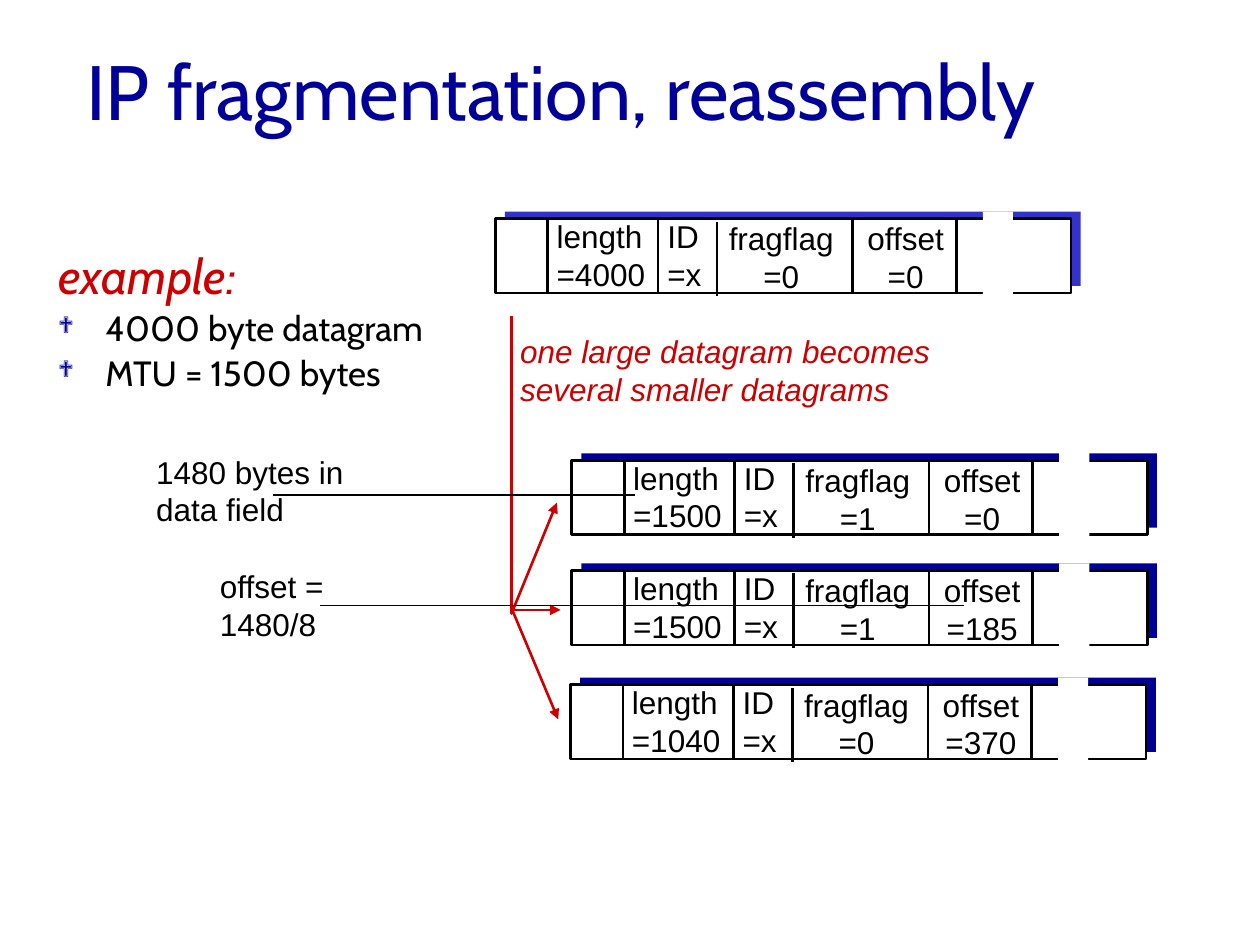
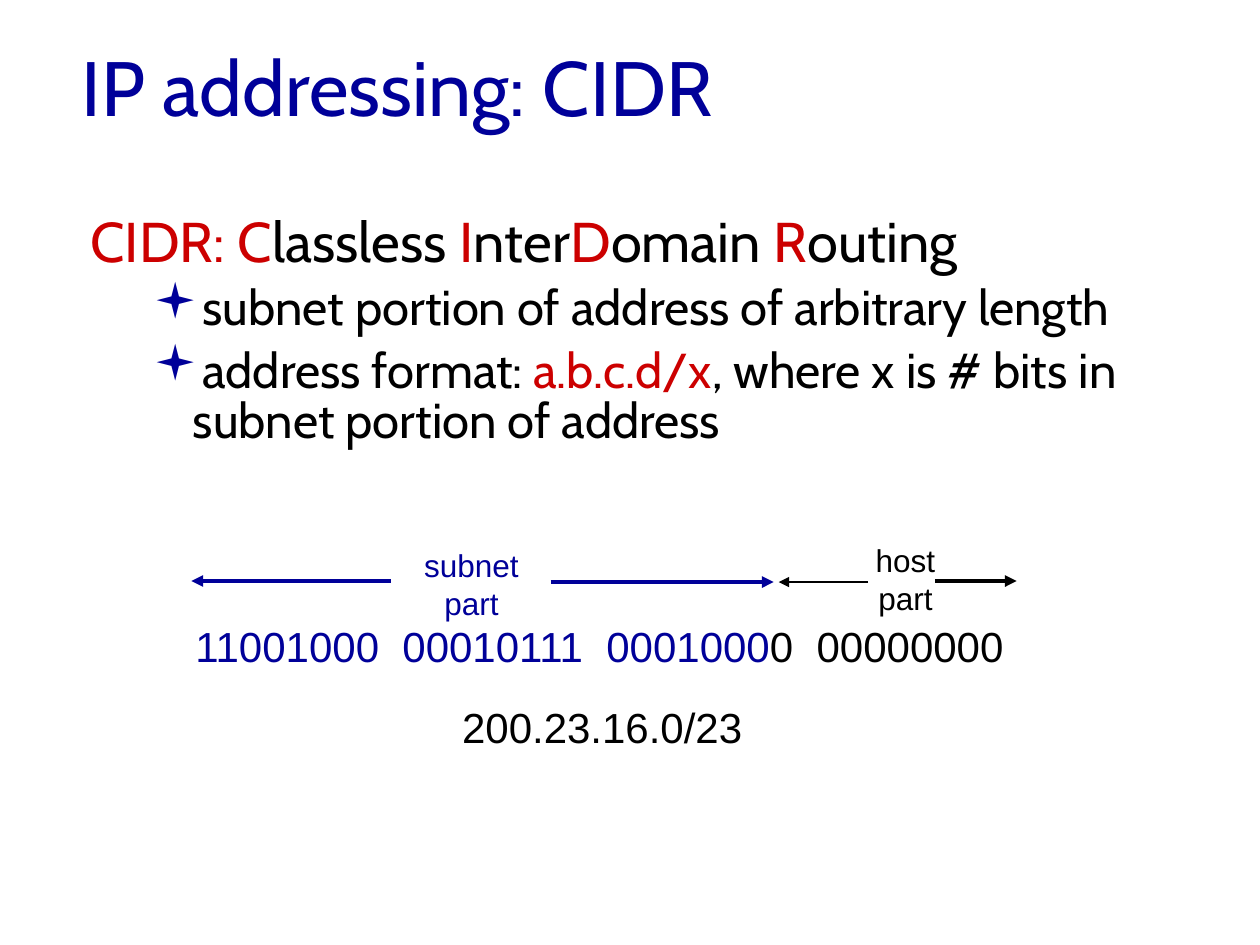
"""Builds two slides on IP fragmentation and CIDR addressing."""
from itertools import cycle

from lxml import etree
from pptx import Presentation
from pptx.dml.color import RGBColor
from pptx.enum.shapes import MSO_CONNECTOR, MSO_SHAPE
from pptx.enum.text import MSO_ANCHOR, MSO_AUTO_SIZE, PP_ALIGN
from pptx.oxml.ns import qn
from pptx.util import Pt

RECTANGLE, STRAIGHT = MSO_SHAPE.RECTANGLE, MSO_CONNECTOR.STRAIGHT
LEFT, CENTER, MIDDLE = PP_ALIGN.LEFT, PP_ALIGN.CENTER, MSO_ANCHOR.MIDDLE
FIXED, GROW = MSO_AUTO_SIZE.NONE, MSO_AUTO_SIZE.SHAPE_TO_FIT_TEXT
NAVY, INDIGO, RED, BLACK, WHITE = "000099", "3333CC", "CC0000", "000000", "FFFFFF"
rgb = RGBColor.from_string

TITLE_FONT = {"name": "Cabin", "size": Pt(44)}
LABEL_FONT = {"name": "Arial", "size": Pt(18)}
ADDRESS_FONT = {"name": "Arial", "size": Pt(24)}


def write(frame, lines, font, colours, layout, indent=(0, 0), bullet="", bullet_size=100):
    """Add paragraphs whose parts, split at a bar, take the colours in turn."""
    for line in lines:
        first = frame.paragraphs[0]
        paragraph = frame.add_paragraph() if first.runs else first
        for name, value in layout.items():
            setattr(paragraph, name, value)
        properties = paragraph._p.get_or_add_pPr()
        properties.set("marL", str(Pt(indent[0])))
        properties.set("indent", str(Pt(indent[1])))
        if bullet:
            tint = etree.SubElement(properties, qn("a:buClr"))
            etree.SubElement(tint, qn("a:srgbClr"), val=NAVY)
            etree.SubElement(properties, qn("a:buSzPct"), val=str(bullet_size * 1000))
            etree.SubElement(properties, qn("a:buFont"), typeface="Wingdings")
            etree.SubElement(properties, qn("a:buChar"), char=bullet)
        else:
            etree.SubElement(properties, qn("a:buNone"))
        for part, colour in zip(line.split("|"), cycle(colours)):
            run = paragraph.add_run()
            run.text = part
            for name, value in font.items():
                setattr(run.font, name, value)
            run.font.color.rgb = rgb(colour)


def stroke(stretch, colour, width, arrow=False):
    """Give a line its colour and width, without shadow, and maybe an arrowhead."""
    stretch.line.color.rgb = rgb(colour)
    stretch.line.width = Pt(width)
    if arrow:
        etree.SubElement(stretch.line._get_or_add_ln(), qn("a:tailEnd"), type="triangle")
    etree.SubElement(stretch._element.spPr, qn("a:effectLst"))


deck = Presentation()
deck.slide_width, deck.slide_height = Pt(720), Pt(540)

titles = [
    ("IP fragmentation, reassembly", (42, 14.6, 612, 73.4)),
    ("IP addressing: CIDR", (39.6, 15.3, 612, 67)),
]
for heading, place in titles:
    slide = deck.slides.add_slide(deck.slide_layouts[5])
    title = slide.shapes.title
    title.left, title.top, title.width, title.height = map(Pt, place)
    title.text_frame.vertical_anchor = MIDDLE
    title.text_frame.auto_size = FIXED
    write(title.text_frame, [heading], TITLE_FONT, [NAVY], {"alignment": LEFT})
fragmentation, addressing = deck.slides

datagrams = [
    (283, 124.9, INDIGO, "4000", "0", "0"),
    (326.7, 263, NAVY, "1500", "1", "0"),
    (326.7, 326, NAVY, "1500", "1", "185"),
    (326, 391.2, NAVY, "1040", "0", "370"),
]
for left, top, shade, length, fragflag, offset in datagrams:
    blocks = [
        (5.5, -4, 329, 42.5, shade),
        (0, 0, 329, 42.5, WHITE),
        (278.6, -4, 17.3, 47.5, WHITE),
    ]
    shadow, packet, gap = [
        fragmentation.shapes.add_shape(
            RECTANGLE, Pt(left + x), Pt(top + y), Pt(width), Pt(height))
        for x, y, width, height, fill in blocks
    ]
    for block, (*_, fill) in zip((shadow, packet, gap), blocks):
        block.shadow.inherit = False
        block.fill.solid()
        block.fill.fore_color.rgb = rgb(fill)
        block.line.fill.background()
    packet.line.color.rgb = rgb(BLACK)
    packet.line.width = Pt(1.5)

    fields = [
        ("length", length, 28, -4.5, 68, LEFT),
        ("ID", "x", 91.3, -4.5, 36, LEFT),
        ("fragflag", fragflag, 123.5, -3, 80, CENTER),
        ("offset", offset, 203.5, -3, 62, CENTER),
    ]
    for field, value, x, y, width, alignment in fields:
        cell = fragmentation.shapes.add_textbox(
            Pt(left + x), Pt(top + y), Pt(width), Pt(50.4)).text_frame
        cell.word_wrap, cell.auto_size = False, GROW
        write(cell, [field, f"={value}"], LABEL_FONT, [BLACK], {"alignment": alignment})
    for x, drop in [(30, 0), (93, 0), (126.8, 1.7), (204.2, 0), (263.5, 0)]:
        divider = fragmentation.shapes.add_connector(
            STRAIGHT, Pt(left + x), Pt(top + drop), Pt(left + x), Pt(top + drop + 42.5))
        stroke(divider, BLACK, 1.5)

outline = fragmentation.shapes.build_freeform(Pt(292.3), Pt(180.7))
outline.add_line_segments([(Pt(292.3), Pt(350.6)), (Pt(318.2), Pt(287.3))], close=False)
split_path = outline.convert_to_shape()
split_path.fill.background()
stroke(split_path, RED, 1.5, True)

example = fragmentation.shapes.add_textbox(Pt(26.2), Pt(142), Pt(223.2), Pt(132.5)).text_frame
example.word_wrap = True
write(example, ["example:"], {"name": "Cabin", "size": Pt(28), "italic": True}, [RED],
      {"line_spacing": 0.85, "space_before": Pt(7)}, (27, -27))
write(example, ["4000 byte datagram", "MTU = 1500 bytes"], {"name": "Cabin", "size": Pt(20)},
      [BLACK], {"line_spacing": 0.85, "space_before": Pt(5)}, (27, -27), "❖", 65)

cidr = addressing.shapes.add_textbox(Pt(44.6), Pt(120.2), Pt(638.6), Pt(249.8)).text_frame
cidr.word_wrap = True
write(cidr, ["CIDR: C|lassless |I|nter|D|omain |R|outing"], {"name": "Cabin", "size": Pt(32)},
      [RED, BLACK], {"line_spacing": 0.85, "space_before": Pt(8)}, (27, -27))
write(cidr, ["subnet portion of address of arbitrary length",
             "address format: |a.b.c.d/x|, where x is # bits in subnet portion of address"],
      {"name": "Cabin", "size": Pt(28)}, [BLACK, RED],
      {"line_spacing": 0.85, "space_before": Pt(7), "level": 1}, (58.5, -22.5), "▪")

labels = [
    (fragmentation, (290.2, 186.3, 252, 50.4),
     ["one large datagram becomes", "several smaller datagrams"],
     {**LABEL_FONT, "italic": True}, [RED], LEFT),
    (fragmentation, (82.1, 255.1, 130, 50.4), ["1480 bytes in", "data field"],
     LABEL_FONT, [BLACK], LEFT),
    (fragmentation, (118.6, 320.4, 78, 50.4), ["offset =", "1480/8"],
     LABEL_FONT, [BLACK], LEFT),
    (addressing, (104.6, 351.2, 488, 36), ["11001000  00010111  0001000|0  00000000"],
     ADDRESS_FONT, [NAVY, BLACK], LEFT),
    (addressing, (233.4, 308.4, 72, 50.4), ["subnet", "part"], LABEL_FONT, [NAVY], CENTER),
    (addressing, (491.4, 305.6, 52, 50.4), ["host", "part"], LABEL_FONT, [BLACK], CENTER),
    (addressing, (257, 397.4, 180, 36), ["200.23.16.0/23"], ADDRESS_FONT, [BLACK], LEFT),
]
for slide, place, lines, font, colours, alignment in labels:
    label = slide.shapes.add_textbox(*map(Pt, place)).text_frame
    label.word_wrap, label.auto_size = False, GROW
    write(label, lines, font, colours, {"alignment": alignment})

pointers = [
    (fragmentation, (292.3, 348.5, 320.4, 348.5), RED, 1.5, True),
    (fragmentation, (293, 349.2, 319, 411.1), RED, 1.5, True),
    (fragmentation, (156.2, 282.8, 362.9, 282.8), BLACK, 0.75, False),
    (fragmentation, (550.8, 346, 182.9, 346), BLACK, 0.75, False),
    (addressing, (223.2, 332, 109.4, 332), NAVY, 2.25, True),
    (addressing, (314.6, 332.6, 442.1, 332.6), NAVY, 2.25, True),
    (addressing, (496.1, 332.6, 445, 332.6), BLACK, 1.5, True),
    (addressing, (534.2, 332, 581, 332), BLACK, 2.25, True),
]
for slide, ends, colour, width, arrow in pointers:
    stroke(slide.shapes.add_connector(STRAIGHT, *map(Pt, ends)), colour, width, arrow)

deck.save("out.pptx")
